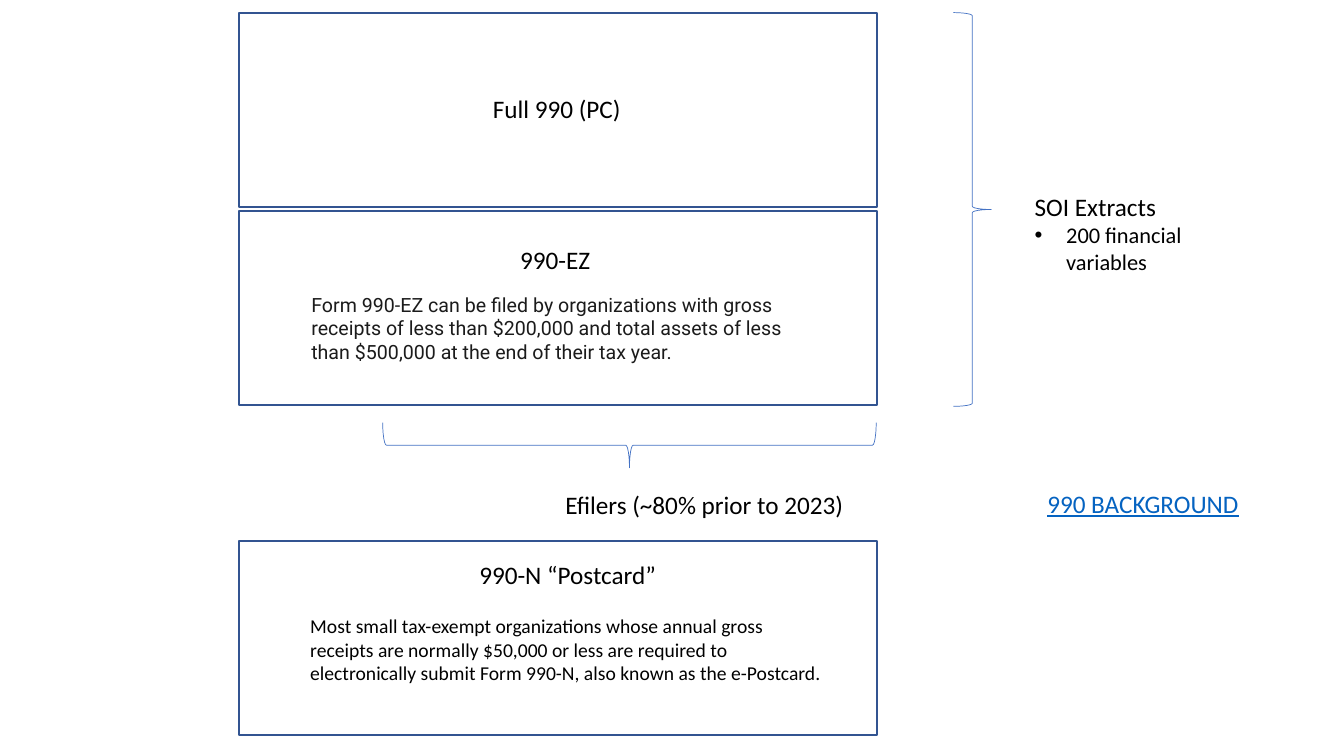
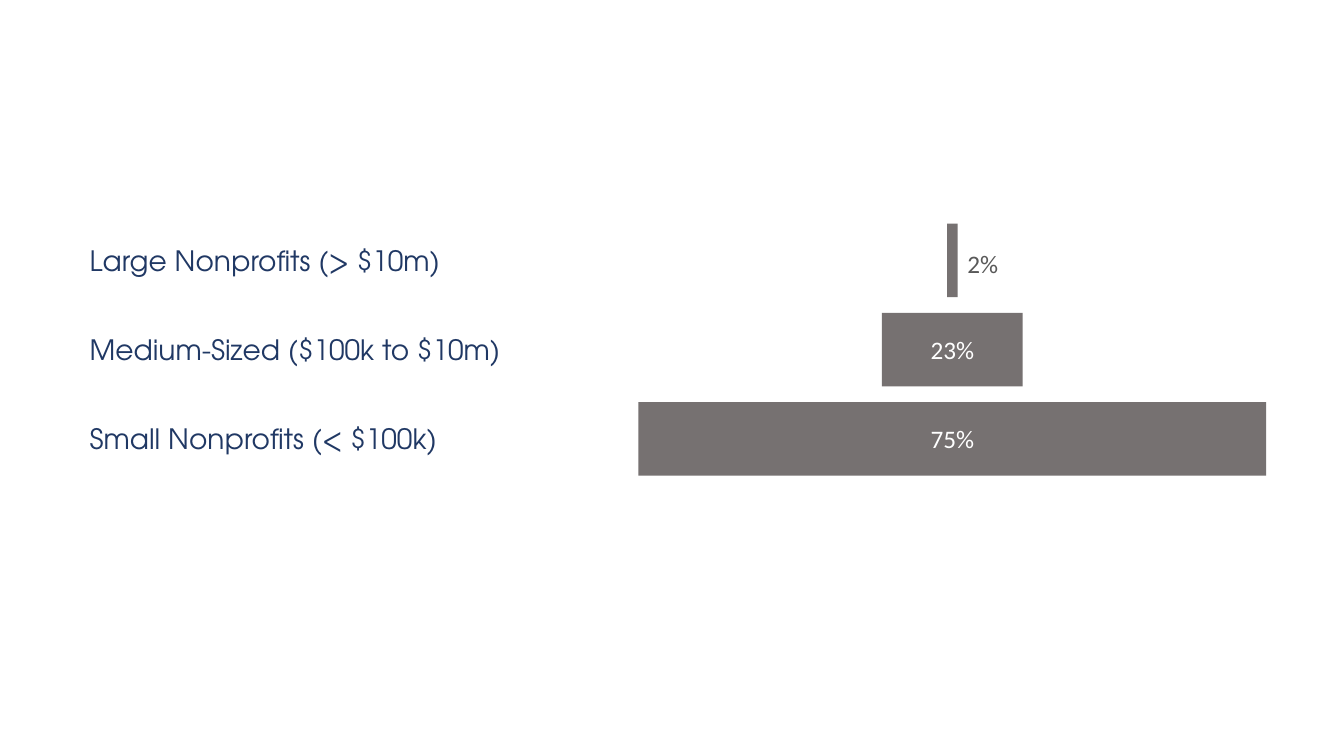
"""Builds two slides: the forms in the 990 series and nonprofits by size."""
from lxml.etree import SubElement
from pptx import Presentation
from pptx.dml.color import RGBColor
from pptx.enum.shapes import MSO_SHAPE
from pptx.enum.text import MSO_ANCHOR, MSO_AUTO_SIZE, PP_ALIGN
from pptx.oxml.ns import qn
from pptx.util import Pt

PX = 9525
BLACK = RGBColor(0x00, 0x00, 0x00)
WHITE = RGBColor(0xFF, 0xFF, 0xFF)
CHARCOAL = RGBColor(0x1B, 0x1B, 0x1B)
GRAY = RGBColor(0x59, 0x59, 0x59)
BAR_GRAY = RGBColor(0x76, 0x71, 0x71)
BOX_BLUE = RGBColor(0x32, 0x54, 0x91)
BRACE_BLUE = RGBColor(0x44, 0x72, 0xC4)
LINK_BLUE = RGBColor(0x05, 0x63, 0xC1)
NAVY = RGBColor(0x20, 0x38, 0x64)


def add_text(slide, text, left, top, width, height, size=18, font="Calibri",
             color=BLACK, wrap=False, underline=None, align=PP_ALIGN.LEFT, anchor=MSO_ANCHOR.TOP):
    shape = slide.shapes.add_textbox(left * PX, top * PX, width * PX, height * PX)
    frame = shape.text_frame
    frame.word_wrap = wrap
    frame.auto_size = MSO_AUTO_SIZE.SHAPE_TO_FIT_TEXT
    frame.vertical_anchor = anchor
    frame.text = text
    for paragraph in frame.paragraphs:
        paragraph.alignment = align
        for run in paragraph.runs:
            run.font.size = Pt(size)
            run.font.name = font
            run.font.color.rgb = color
            run.font.underline = underline
    return shape


def add_figure(slide, kind, left, top, width, height, fill=None, line=None, line_width=0, rotation=0):
    shape = slide.shapes.add_shape(kind, left * PX, top * PX, width * PX, height * PX)
    shape.shadow.inherit = False
    shape.rotation = rotation
    if fill is None:
        shape.fill.background()
    else:
        shape.fill.solid()
        shape.fill.fore_color.rgb = fill
    if line is None:
        shape.line.fill.background()
    else:
        shape.line.color.rgb = line
        shape.line.width = Pt(line_width)
    return shape


presentation = Presentation()
presentation.slide_width = 1280 * PX
presentation.slide_height = 720 * PX
blank_layout = presentation.slide_layouts[6]

forms_slide = presentation.slides.add_slide(blank_layout)
for top in (12, 201, 515):
    add_figure(forms_slide, MSO_SHAPE.RECTANGLE, 228, top, 607, 185, line=BOX_BLUE, line_width=1.5)
for left, top, width, height, rotation in ((578, 189, 43, 470, 270), (908, 12, 36, 375, 180)):
    add_figure(forms_slide, MSO_SHAPE.LEFT_BRACE, left, top, width, height,
               line=BRACE_BLUE, line_width=0.5, rotation=rotation)

for text, left, top, width in (
    ("Full 990 (PC)", 460, 84, 143),
    ("990-EZ", 486, 228, 86),
    ("Efilers (~80% prior to 2023)", 529, 461, 287),
    ("990-N “Postcard”", 447, 528, 189),
):
    add_text(forms_slide, text, left, top, width, 38)
add_text(forms_slide, "990 BACKGROUND", 988, 460, 204, 38, color=LINK_BLUE, underline=True)

add_text(forms_slide, "Form 990-EZ can be filed by organizations with gross receipts of less than "
         "$200,000 and total assets of less than $500,000 at the end of their tax year.",
         287, 274, 490, 78, size=14, font="Roboto", color=CHARCOAL, wrap=True)
add_text(forms_slide, "Most small tax-exempt organizations whose annual gross receipts are normally "
         "$50,000 or less are required to electronically submit Form 990-N, also known as the e-Postcard.",
         286, 580, 512, 78, size=14, wrap=True)

extracts = add_text(forms_slide, "SOI Extracts\n200 financial variables", 976, 177, 186, 90, wrap=True)
bullet = extracts.text_frame.paragraphs[1]
bullet.runs[0].font.size = Pt(16)
properties = bullet._p.get_or_add_pPr()
properties.set("marL", str(30 * PX))
properties.set("indent", str(-30 * PX))
SubElement(properties, qn("a:buFont"), typeface="Arial")
SubElement(properties, qn("a:buChar"), char="•")

sizes_slide = presentation.slides.add_slide(blank_layout)
BAR_CENTER, BAR_HEIGHT, FIRST_TOP, ROW_STEP = 907, 70, 213, 85
for row, (label, share, bar_width) in enumerate((
    ("Large Nonprofits (> $10m)", "2%", 10),
    ("Medium-Sized ($100k to $10m)", "23%", 134),
    ("Small Nonprofits (< $100k)", "75%", 598),
)):
    top = FIRST_TOP + row * ROW_STEP
    left = BAR_CENTER - bar_width // 2
    bar = add_figure(sizes_slide, MSO_SHAPE.RECTANGLE, left, top, bar_width, BAR_HEIGHT, fill=BAR_GRAY)
    add_text(sizes_slide, label, 76, top + 14, 471, 42, size=20,
             font="TeX Gyre Adventor", color=NAVY, wrap=True)
    if bar_width < 50:
        add_text(sizes_slide, share, left + bar_width, top + 19, 49, 38, color=GRAY)
    else:
        bar.text_frame.text = share
        bar.text_frame.vertical_anchor = MSO_ANCHOR.MIDDLE
        paragraph = bar.text_frame.paragraphs[0]
        paragraph.alignment = PP_ALIGN.CENTER
        paragraph.font.size = Pt(18)
        paragraph.font.name = "Calibri"
        paragraph.font.color.rgb = WHITE

presentation.save("out.pptx")
